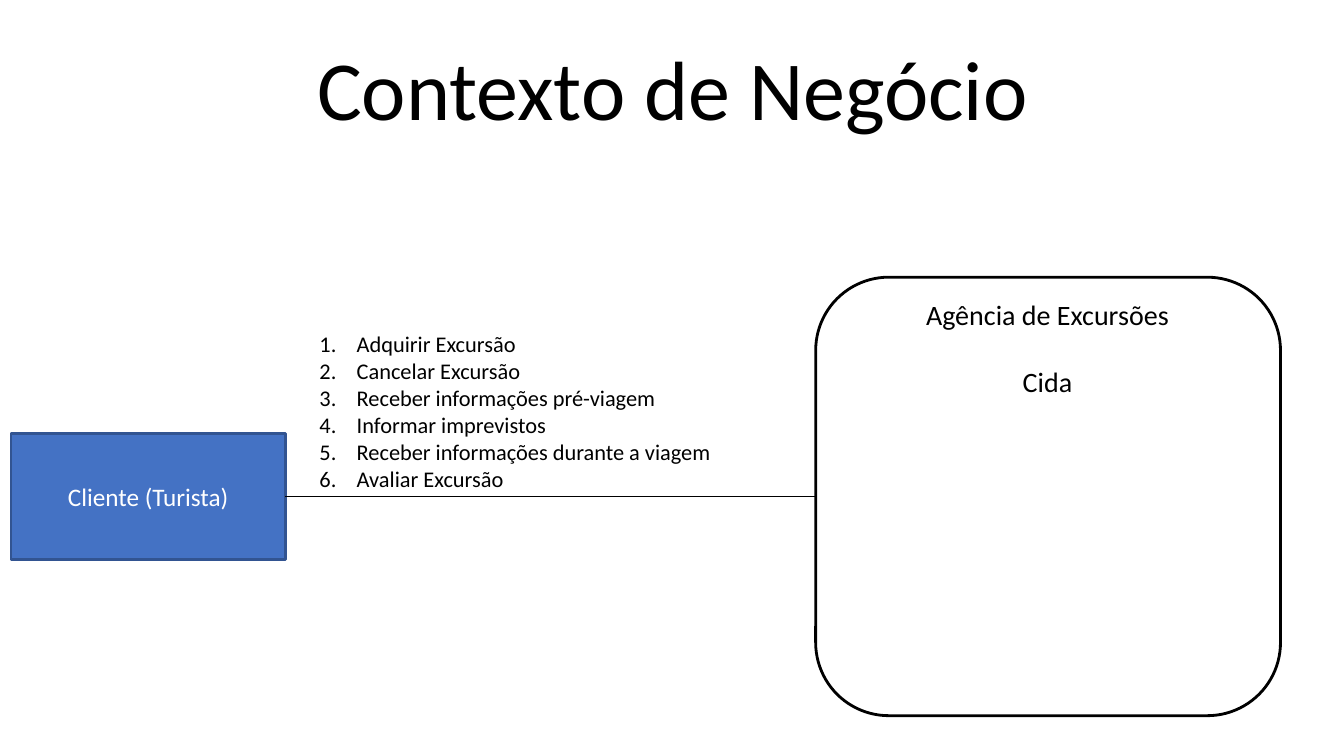
from lxml.etree import SubElement
from pptx import Presentation
from pptx.dml.color import RGBColor
from pptx.enum.shapes import MSO_CONNECTOR, MSO_SHAPE
from pptx.enum.text import MSO_ANCHOR, MSO_AUTO_SIZE, PP_ALIGN
from pptx.oxml.ns import qn
from pptx.util import Inches, Pt

TASKS = [
    "Adquirir Excursão",
    "Cancelar Excursão",
    "Receber informações pré-viagem",
    "Informar imprevistos",
    "Receber informações durante a viagem",
    "Avaliar Excursão",
]


def tint(code):
    """Turn a hex string into a colour."""
    return RGBColor.from_string(code)


def style(para, size, color="000000", align=PP_ALIGN.CENTER):
    """Set the font and alignment of a paragraph."""
    para.font.name = "Calibri"
    para.font.size = Pt(size)
    para.font.color.rgb = tint(color)
    para.alignment = align


def write(slide, box, lines, size, align):
    """Add a wrapped text box and return its paragraphs."""
    frame = slide.shapes.add_textbox(*map(Inches, box)).text_frame
    frame.word_wrap = True
    frame.text = "\n".join(lines)
    for para in frame.paragraphs:
        style(para, size, align=align)
    return frame.paragraphs


def block(slide, kind, box, edge, fill=None):
    """Add an outlined shape, filled when a colour is given."""
    shape = slide.shapes.add_shape(kind, *map(Inches, box))
    shape.shadow.inherit = False
    if fill:
        shape.fill.solid()
        shape.fill.fore_color.rgb = tint(fill)
    else:
        shape.fill.background()
    shape.line.color.rgb = tint(edge)
    shape.line.width = Pt(2)
    return shape


def head(slide, box):
    """Place the slide title."""
    title = slide.shapes.title
    title.left, title.top, title.width, title.height = map(Inches, box)
    frame = title.text_frame
    frame.text = "Contexto de Negócio"
    frame.auto_size = MSO_AUTO_SIZE.NONE
    frame.vertical_anchor = MSO_ANCHOR.BOTTOM
    para = frame.paragraphs[0]
    style(para, 60)
    para.line_spacing = 0.9


def client(slide, box):
    """Draw the client box."""
    shape = block(slide, MSO_SHAPE.RECTANGLE, box, "325491", "4472C4")
    frame = shape.text_frame
    frame.text = "Cliente (Turista)"
    frame.vertical_anchor = MSO_ANCHOR.MIDDLE
    style(frame.paragraphs[0], 18, "FFFFFF")
    return shape


def agency(slide, box):
    """Draw the agency frame with its heading and member."""
    left, top, width, _ = box
    shape = block(slide, MSO_SHAPE.ROUNDED_RECTANGLE, box, "000000")
    label = (left + 0.62, top + 0.15, width - 1.25, 1.1)
    lines = ["Agência de Excursões", "Cida"]
    paras = write(slide, label, lines, 20, PP_ALIGN.CENTER)
    paras[1].space_before = Pt(24)
    return shape


def link(slide, start, end):
    """Join the right side of one shape to the left side of another."""
    line = slide.shapes.add_connector(MSO_CONNECTOR.STRAIGHT, 0, 0, 0, 0)
    line.begin_connect(start, 3)
    line.end_connect(end, 1)
    line.line.color.rgb = tint("000000")
    line.line.width = Pt(0.75)
    SubElement(line._element.spPr, qn("a:effectLst"))


def tasks(slide, box):
    """List the numbered exchanges between client and agency."""
    for para in write(slide, box, TASKS, 16, PP_ALIGN.LEFT):
        props = para._p.get_or_add_pPr()
        props.set("marL", str(Inches(0.38)))
        props.set("indent", str(Inches(-0.37)))
        SubElement(props, qn("a:buFont"), typeface="+mj-lt")
        SubElement(props, qn("a:buAutoNum"), type="arabicPeriod")
        props.append(props.find(qn("a:defRPr")))


def main():
    """Build and save the slide."""
    deck = Presentation()
    deck.slide_width, deck.slide_height = Inches(13.33), Inches(7.5)
    slide = deck.slides.add_slide(deck.slide_layouts[5])
    head(slide, (1.67, 0.4, 10, 1.03))
    guest = client(slide, (0.11, 4.3, 2.72, 1.25))
    firm = agency(slide, (8.09, 2.75, 4.61, 4.35))
    link(slide, guest, firm)
    tasks(slide, (3.06, 3.23, 4.71, 2.23))
    deck.save("out.pptx")


if __name__ == "__main__":
    main()
